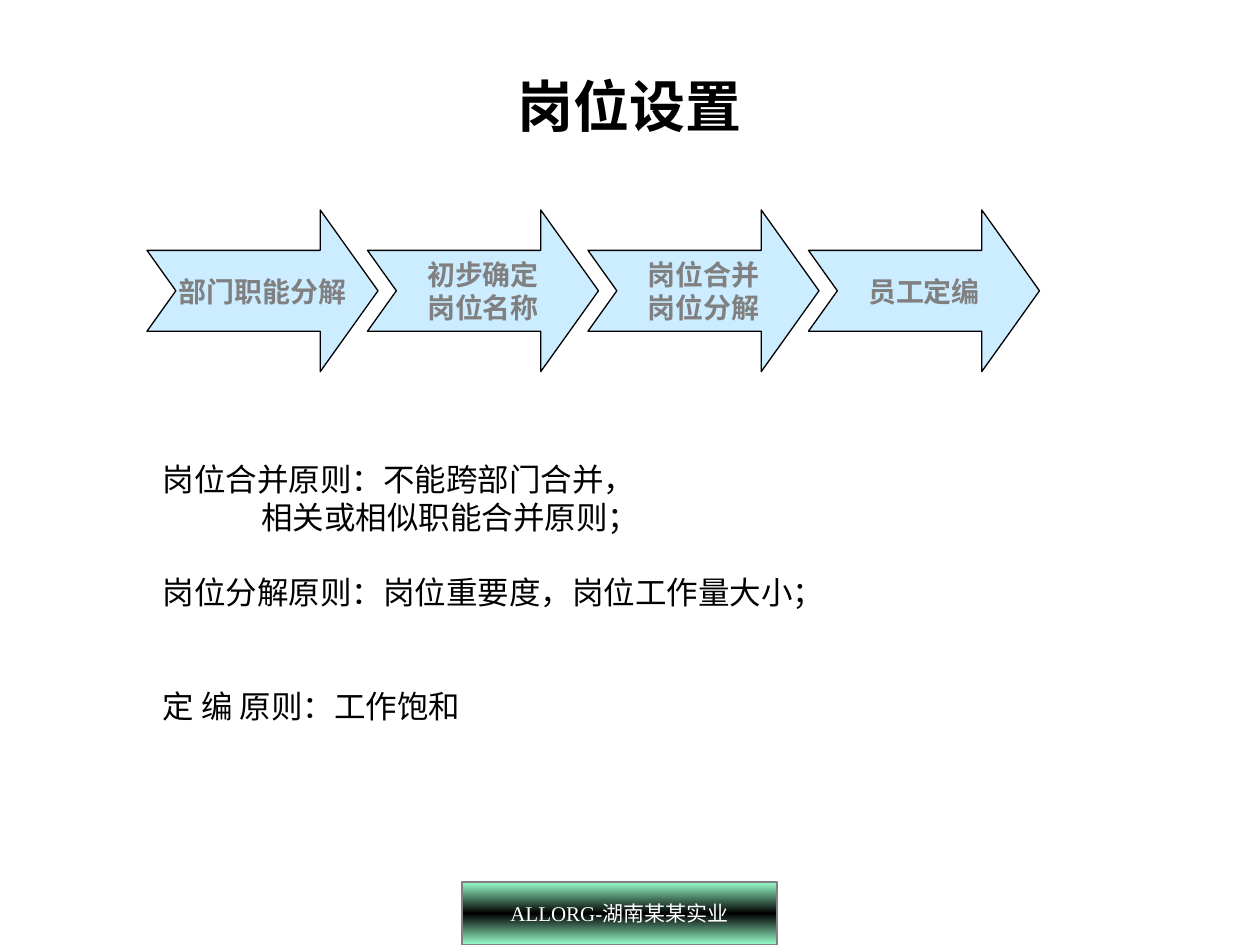
from copy import deepcopy

from pptx import Presentation
from pptx.dml.color import RGBColor
from pptx.enum.shapes import MSO_SHAPE
from pptx.enum.text import MSO_ANCHOR, PP_ALIGN
from pptx.oxml.ns import qn
from pptx.util import Inches, Pt

RECT = MSO_SHAPE.RECTANGLE
MID, TOP = MSO_ANCHOR.MIDDLE, MSO_ANCHOR.TOP
MIDDLE, LEFT = PP_ALIGN.CENTER, PP_ALIGN.LEFT

THEME = {
    "ink": RGBColor(0, 0, 0),
    "gray": RGBColor(0x80, 0x80, 0x80),
    "white": RGBColor(0xFF, 0xFF, 0xFF),
    "sky": RGBColor(0xCC, 0xEC, 0xFF),
    "mint": RGBColor(0x99, 0xFF, 0xCC),
    "serif": "Times New Roman",
    "sans": "Noto Sans CJK SC",
    "title": Pt(32), "body": Pt(18), "step": Pt(16), "foot": Pt(12),
    "line": Pt(0.75), "pitch": Pt(21.6),
}

deck = Presentation()
deck.slide_width, deck.slide_height = Inches(10), Inches(7.5)
slide = deck.slides.add_slide(deck.slide_layouts[6])
shapes = slide.shapes
UNIT = deck.slide_width / 120  # grid of 120 columns by 90 rows


def grid(*cells):
    return [round(cell * UNIT) for cell in cells]


def write(shape, lines, size, color, face="serif", bold=False,
          align=MIDDLE, anchor=MID, wrap=False):
    frame = shape.text_frame
    frame.text = "\n".join(lines)
    frame.word_wrap, frame.vertical_anchor = wrap, anchor
    style = {"name": THEME[face], "size": THEME[size], "bold": bold}
    for para in frame.paragraphs:
        para.alignment = align
        for run in para.runs:
            for key, value in style.items():
                setattr(run.font, key, value)
            run.font.color.rgb = THEME[color]
    return frame.paragraphs


# Footer plate with a three-stop gradient
plate = shapes.add_shape(RECT, *grid(44, 84, 30, 6))
plate.shadow.inherit = False
plate.line.color.rgb, plate.line.width = THEME["gray"], THEME["line"]
plate.fill.gradient()
plate.fill.gradient_angle = 90
first = next(plate.element.iter(qn("a:gs")))
first.addnext(deepcopy(first))
stops = zip(plate.fill.gradient_stops, (0, 0.5, 1), ("mint", "ink", "mint"))
for stop, place, color in stops:
    stop.position, stop.color.rgb = place, THEME[color]
write(plate, ["ALLORG-湖南某某实业"], "foot", "white")

# Title
title = shapes.add_textbox(*grid(9, 5, 102, 10))
write(title, ["岗位设置"], "title", "ink", bold=True, wrap=True)

# Principles: text, indent in columns, blank lines above
RULES = [
    ("岗位合并原则：不能跨部门合并，", 0, 0),
    ("相关或相似职能合并原则；", 9.4, 0),
    ("岗位分解原则：岗位重要度，岗位工作量大小；", 0, 1),
    ("定 编 原则：工作饱和", 0, 2),
]
body = shapes.add_textbox(*grid(14.3, 43.2, 86, 27))
paras = write(body, [rule[0] for rule in RULES], "body", "ink", "sans",
              align=LEFT, anchor=TOP, wrap=True)
for para, (_, indent, gap) in zip(paras, RULES):
    para.line_spacing = THEME["pitch"]
    para.space_before = gap * THEME["pitch"]
    para._p.get_or_add_pPr().set("marL", str(round(indent * UNIT)))

# Process arrows: one notched outline, repeated at equal steps
STEPS = [["部门职能分解"], ["初步确定", "岗位名称"],
         ["岗位合并", "岗位分解"], ["员工定编"]]
OUTLINE = [(0, 0.25), (0.75, 0.25), (0.75, 0), (1, 0.5),
           (0.75, 1), (0.75, 0.75), (0, 0.75), (0.125, 0.5)]
for i, lines in enumerate(STEPS):
    dots = [grid(14 + 21 * i + 22 * x, 20 + 15.4 * y) for x, y in OUTLINE]
    pen = shapes.build_freeform(*dots[0])
    pen.add_line_segments(dots[1:], close=True)
    arrow = pen.convert_to_shape()
    arrow.shadow.inherit = False
    arrow.fill.solid()
    arrow.fill.fore_color.rgb = THEME["sky"]
    arrow.line.color.rgb, arrow.line.width = THEME["ink"], THEME["line"]
    write(arrow, lines, "step", "gray", bold=True)

deck.save("out.pptx")
